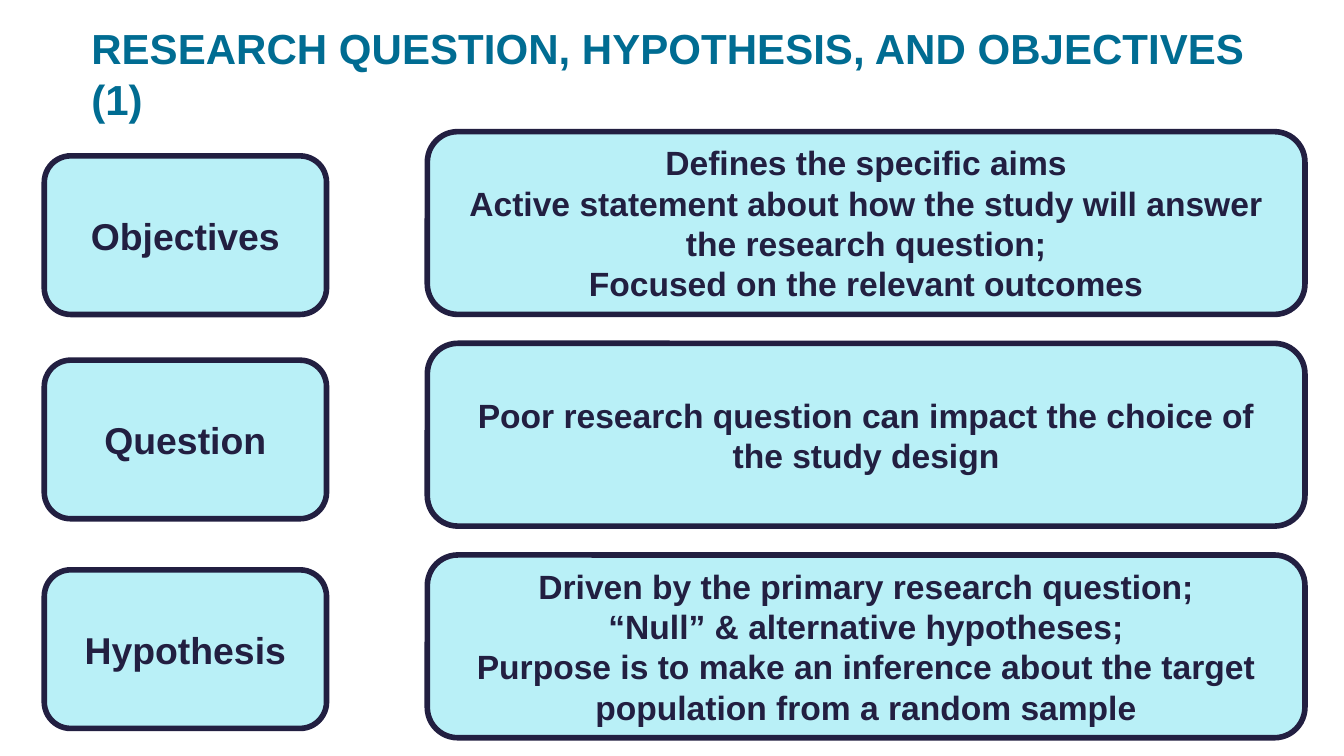
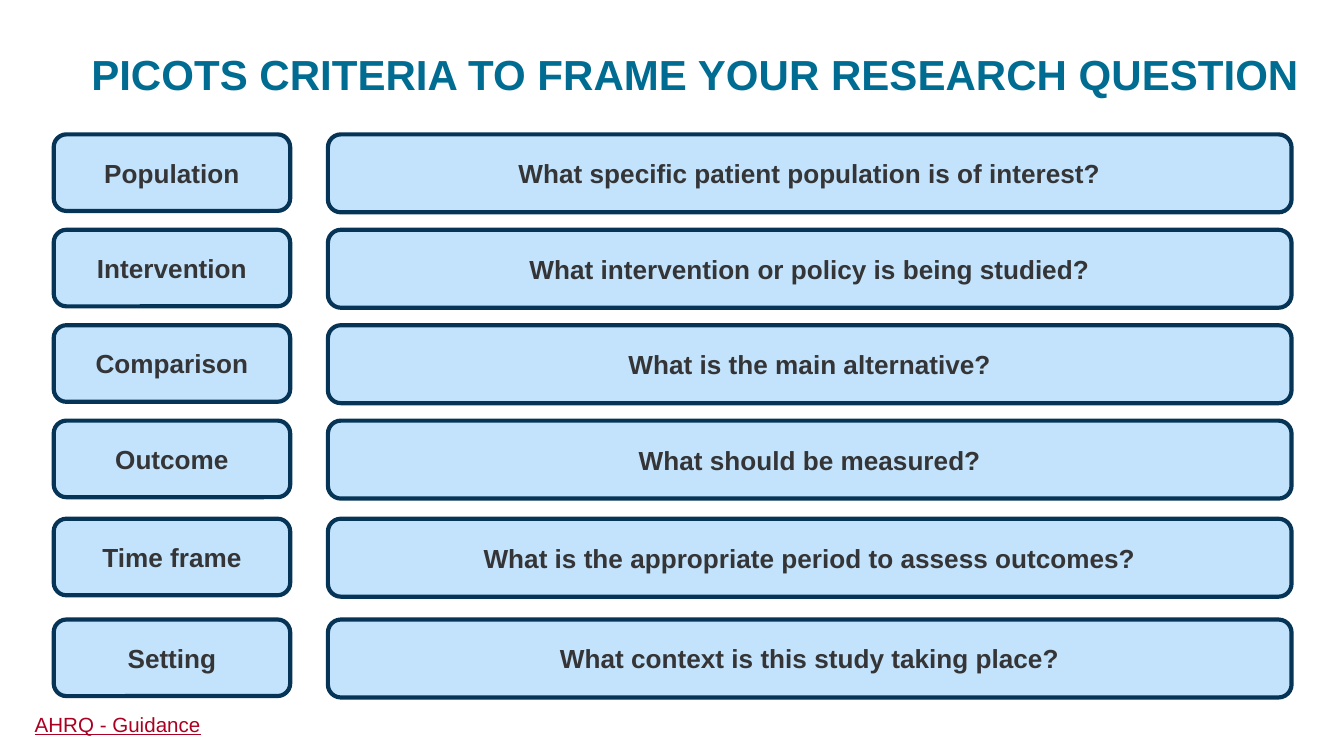
from pptx import Presentation
from pptx import util as u
from pptx.dml.color import RGBColor
from pptx.enum import shapes, text

# Shared style; the grid has 100 columns and rows of the same size
FONT = "Arial"
CELL = u.Inches(0.1)
COLS, ROWS = 100, 56.25
COLORS = {
    "white": "FFFFFF", "title": "006C92", "link": "AA0023",
    "aqua": "B9F0F7", "navy": "221F41",
    "sky": "C2E3FB", "deep": "063456", "ink": "353537",
}
AIMS_STYLE = {"fill": "aqua", "line": "navy", "color": "navy", "weight": 3}
PICOTS_STYLE = {"fill": "sky", "line": "deep", "color": "ink", "weight": 2.25}

AIMS = [
    ("Objectives", ["Defines the specific aims",
                    "Active statement about how the study will answer the research question;",
                    "Focused on the relevant outcomes"]),
    ("Question", ["Poor research question can impact the choice of the study design"]),
    ("Hypothesis", ["Driven by the primary research question;",
                    "“Null” & alternative hypotheses;",
                    "Purpose is to make an inference about the target "
                    "population from a random sample"]),
]
PICOTS = [
    ("Population", "What specific patient population is of interest?"),
    ("Intervention", "What intervention or policy is being studied?"),
    ("Comparison", "What is the main alternative?"),
    ("Outcome", "What should be measured?"),
    ("Time frame", "What is the appropriate period to assess outcomes?"),
    ("Setting", "What context is this study taking place?"),
]


def rgb(name):
    return RGBColor.from_string(COLORS[name])


def grid(*cells):
    return [int(c * CELL) for c in cells]


def write(tf, lines, size, color, bold=True, align=text.PP_ALIGN.LEFT):
    tf.word_wrap = True
    for i, line in enumerate(lines):
        p = tf.paragraphs[0] if i == 0 else tf.add_paragraph()
        p.text = line
        p.alignment = align
        p.font.name, p.font.size, p.font.bold = FONT, u.Pt(size), bold
        p.font.color.rgb = rgb(color)


def add_title(s, title):
    sp = s.shapes.add_textbox(*grid(1.8, 2.1, 95.3, 6.7))
    sp.fill.solid()
    sp.fill.fore_color.rgb = rgb("white")
    tf = sp.text_frame
    tf.margin_left = u.Inches(0.5)
    tf.margin_top = tf.margin_right = tf.margin_bottom = 0
    tf.vertical_anchor = text.MSO_ANCHOR.MIDDLE
    write(tf, [title], 22.5, "title")


def add_card(s, box, lines, size, style):
    sp = s.shapes.add_shape(shapes.MSO_SHAPE.ROUNDED_RECTANGLE, *grid(*box))
    sp.shadow.inherit = False
    sp.fill.solid()
    sp.fill.fore_color.rgb = rgb(style["fill"])
    sp.line.color.rgb = rgb(style["line"])
    sp.line.width = u.Pt(style["weight"])
    sp.text_frame.vertical_anchor = text.MSO_ANCHOR.MIDDLE
    write(sp.text_frame, lines, size, style["color"], align=text.PP_ALIGN.CENTER)


def add_source(s, label):
    sp = s.shapes.add_textbox(*grid(1.6, 52.5, 48.4, 2.9))
    write(sp.text_frame, [label], 11, "link", bold=False)
    sp.text_frame.paragraphs[0].font.underline = True


def add_slide(prs, title):
    s = prs.slides.add_slide(prs.slide_layouts[6])
    add_title(s, title)
    return s


def build_aims(prs):
    s = add_slide(prs, "RESEARCH QUESTION, HYPOTHESIS, AND OBJECTIVES (1)")
    label_tops = [11.6, 26.8, 42.4]
    for i, (label, lines) in enumerate(AIMS):
        add_card(s, (3.3, label_tops[i], 21, 11.8), [label], 20, AIMS_STYLE)
        add_card(s, (31.8, 9.8 + 15.75 * i, 65.3, 13.6), lines, 18, AIMS_STYLE)


def build_picots(prs):
    s = add_slide(prs, "PICOTS CRITERIA TO FRAME YOUR RESEARCH QUESTION")
    row_tops = [10, 17.1, 24.2, 31.3, 38.6, 46.1]
    for top, (label, question) in zip(row_tops, PICOTS):
        add_card(s, (4, top, 17.6, 5.7), [label], 14, PICOTS_STYLE)
        add_card(s, (24.4, top, 71.7, 5.8), [question], 14, PICOTS_STYLE)
    add_source(s, "AHRQ - Guidance")


def main():
    prs = Presentation()
    prs.slide_width, prs.slide_height = grid(COLS, ROWS)
    build_aims(prs)
    build_picots(prs)
    prs.save("out.pptx")


if __name__ == "__main__":
    main()
